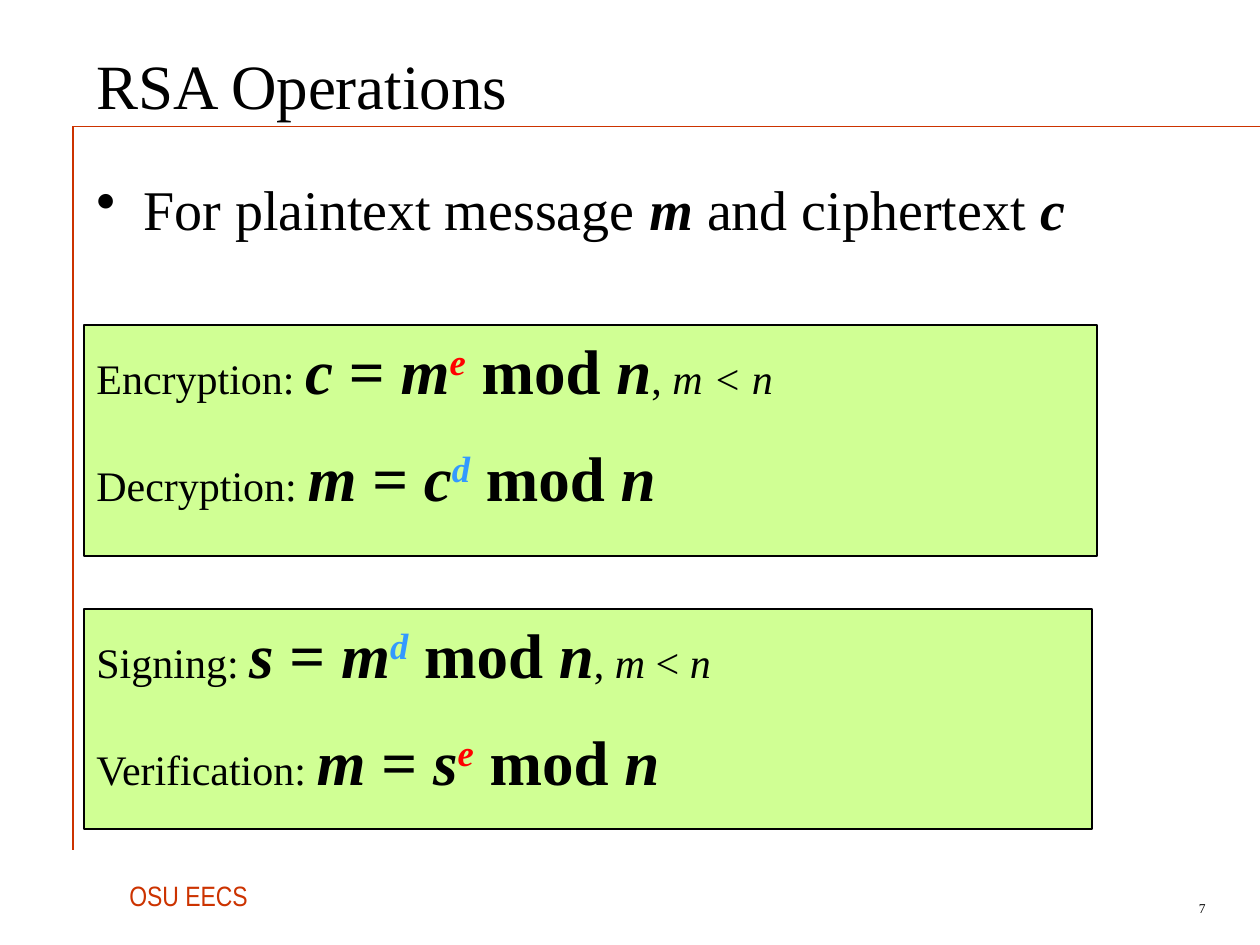
from dataclasses import dataclass

from pptx import Presentation
from pptx.dml.color import RGBColor
from pptx.enum.shapes import MSO_CONNECTOR as Connector, MSO_SHAPE as Preset
from pptx.enum.text import MSO_ANCHOR as Anchor, PP_ALIGN as Align
from pptx.oxml.ns import qn
from pptx.util import Pt

EMU_PER_PX = 914400 / 126
SERIF = "Times New Roman"
BLACK = RGBColor(0x00, 0x00, 0x00)
RUST = RGBColor(0xCC, 0x33, 0x00)
LIME = RGBColor(0xD0, 0xFF, 0x94)
RED = RGBColor(0xFF, 0x00, 0x00)
BLUE = RGBColor(0x33, 0x99, 0xFF)


@dataclass(frozen=True)
class Formula:
    label: str
    result: str
    base: str
    exponent: str
    condition: tuple[tuple[str, bool], ...] = ()  # (text, italic)


@dataclass(frozen=True)
class FormulaPanel:
    top: int
    width: int
    height: int
    formulas: tuple[Formula, ...]


EXPONENT_COLORS = {"e": RED, "d": BLUE}
PANELS = (
    FormulaPanel(325, 1013, 231, (
        Formula("Encryption", "c", "m", "e", (("m < n", True),)),
        Formula("Decryption", "m", "c", "d"),
    )),
    FormulaPanel(609, 1008, 220, (
        Formula("Signing", "s", "m", "d", (("m", True), (" < ", False), ("n", True))),
        Formula("Verification", "m", "s", "e"),
    )),
)


def px(length: int) -> int:
    return round(length * EMU_PER_PX)


def add_text(paragraph, text: str, *, size: float, font: str = SERIF,
             color: RGBColor = BLACK, bold: bool = False, italic: bool = False,
             raised: bool = False) -> None:
    run = paragraph.add_run()
    run.text = text
    run.font.name, run.font.size = font, Pt(size)
    run.font.bold, run.font.italic = bold, italic
    run.font.color.rgb = color
    if raised:
        run.font._element.set("baseline", "30000")


def add_box(slide, left: int, top: int, width: int, height: int,
            anchor: Anchor = Anchor.TOP, wrap: bool = True):
    """Add a text box and return its first paragraph."""
    frame = slide.shapes.add_textbox(px(left), px(top), px(width), px(height)).text_frame
    frame.word_wrap = wrap
    frame.vertical_anchor = anchor
    return frame.paragraphs[0]


def add_rule(slide, x1: int, y1: int, x2: int, y2: int, weight: float) -> None:
    rule = slide.shapes.add_connector(Connector.STRAIGHT, px(x1), px(y1), px(x2), px(y2))
    rule.line.color.rgb = RUST
    rule.line.width = Pt(weight)
    properties = rule._element.spPr
    properties.append(properties.makeelement(qn("a:effectLst"), {}))


def add_bullet(paragraph, indent: int) -> None:
    properties = paragraph._p.get_or_add_pPr()
    properties.set("marL", str(px(indent)))
    properties.set("indent", str(-px(indent)))
    properties.append(properties.makeelement(qn("a:buChar"), {"char": "•"}))


def write_formula(paragraph, formula: Formula) -> None:
    strong = {"size": 36, "bold": True}
    add_text(paragraph, f"{formula.label}: ", size=24)
    add_text(paragraph, formula.result, italic=True, **strong)
    add_text(paragraph, " = ", **strong)
    add_text(paragraph, formula.base, italic=True, **strong)
    add_text(paragraph, formula.exponent, italic=True, raised=True,
             color=EXPONENT_COLORS[formula.exponent], **strong)
    add_text(paragraph, " mod ", **strong)
    add_text(paragraph, "n", italic=True, **strong)
    if formula.condition:
        add_text(paragraph, ", ", size=24)
    for text, italic in formula.condition:
        add_text(paragraph, text, size=24, italic=italic)


def add_panel(slide, panel: FormulaPanel) -> None:
    rectangle = slide.shapes.add_shape(Preset.RECTANGLE, px(84), px(panel.top),
                                       px(panel.width), px(panel.height))
    rectangle.shadow.inherit = False
    rectangle.fill.solid()
    rectangle.fill.fore_color.rgb = LIME
    rectangle.line.color.rgb = BLACK
    rectangle.line.width = Pt(0.75)
    frame = rectangle.text_frame
    frame.word_wrap = True
    frame.vertical_anchor = Anchor.TOP
    for index, formula in enumerate(panel.formulas):
        paragraph = frame.add_paragraph() if index else frame.paragraphs[0]
        paragraph.alignment = Align.LEFT
        if index:
            paragraph.space_before = Pt(18)
        write_formula(paragraph, formula)


def main() -> None:
    presentation = Presentation()
    presentation.slide_width, presentation.slide_height = px(1260), px(945)
    slide = presentation.slides.add_slide(presentation.slide_layouts[6])

    # Frame rules
    add_rule(slide, 73, 126, 1260, 126, 0.25)
    add_rule(slide, 73, 126, 73, 850, 0.75)

    # Footer and page number
    footer = add_box(slide, 117, 872, 150, 47, wrap=False)
    add_text(footer, "OSU EECS", size=16, font="Arial Narrow", color=RUST)
    page_number = add_box(slide, 1113, 892, 105, 32, Anchor.MIDDLE)
    page_number.alignment = Align.RIGHT
    add_text(page_number, "7", size=7.7)

    # Title
    title = add_box(slide, 84, 21, 1071, 126, Anchor.MIDDLE)
    add_text(title, "RSA Operations", size=36)

    # Introduction, with the symbols emphasised
    introduction = add_box(slide, 84, 168, 1076, 126)
    add_bullet(introduction, 47)
    for phrase, symbol in (("For plaintext message ", "m"), (" and ciphertext ", "c")):
        add_text(introduction, phrase, size=32)
        add_text(introduction, symbol, size=32, bold=True, italic=True)

    # Formula panels
    for panel in PANELS:
        add_panel(slide, panel)

    presentation.save("out.pptx")


if __name__ == "__main__":
    main()
